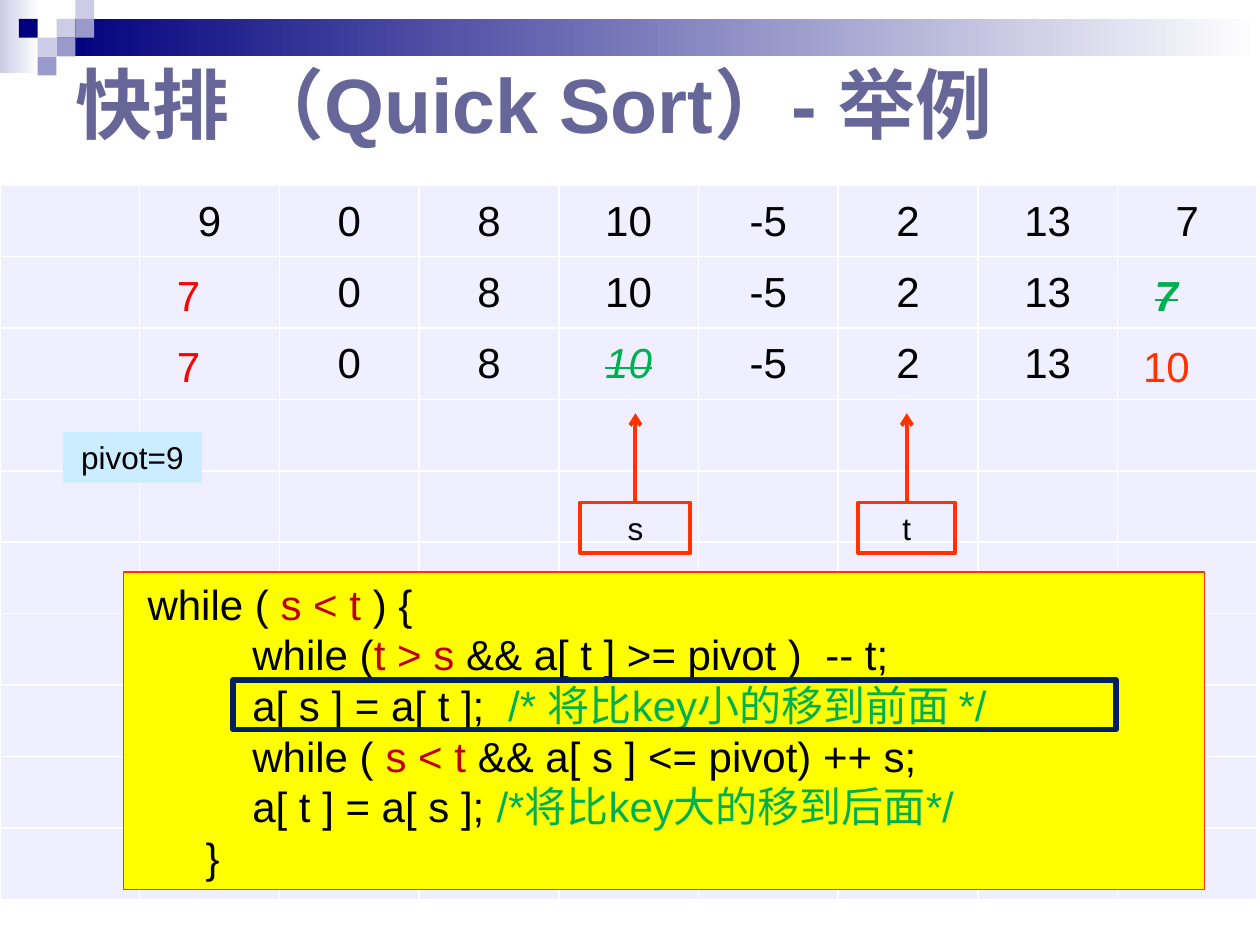
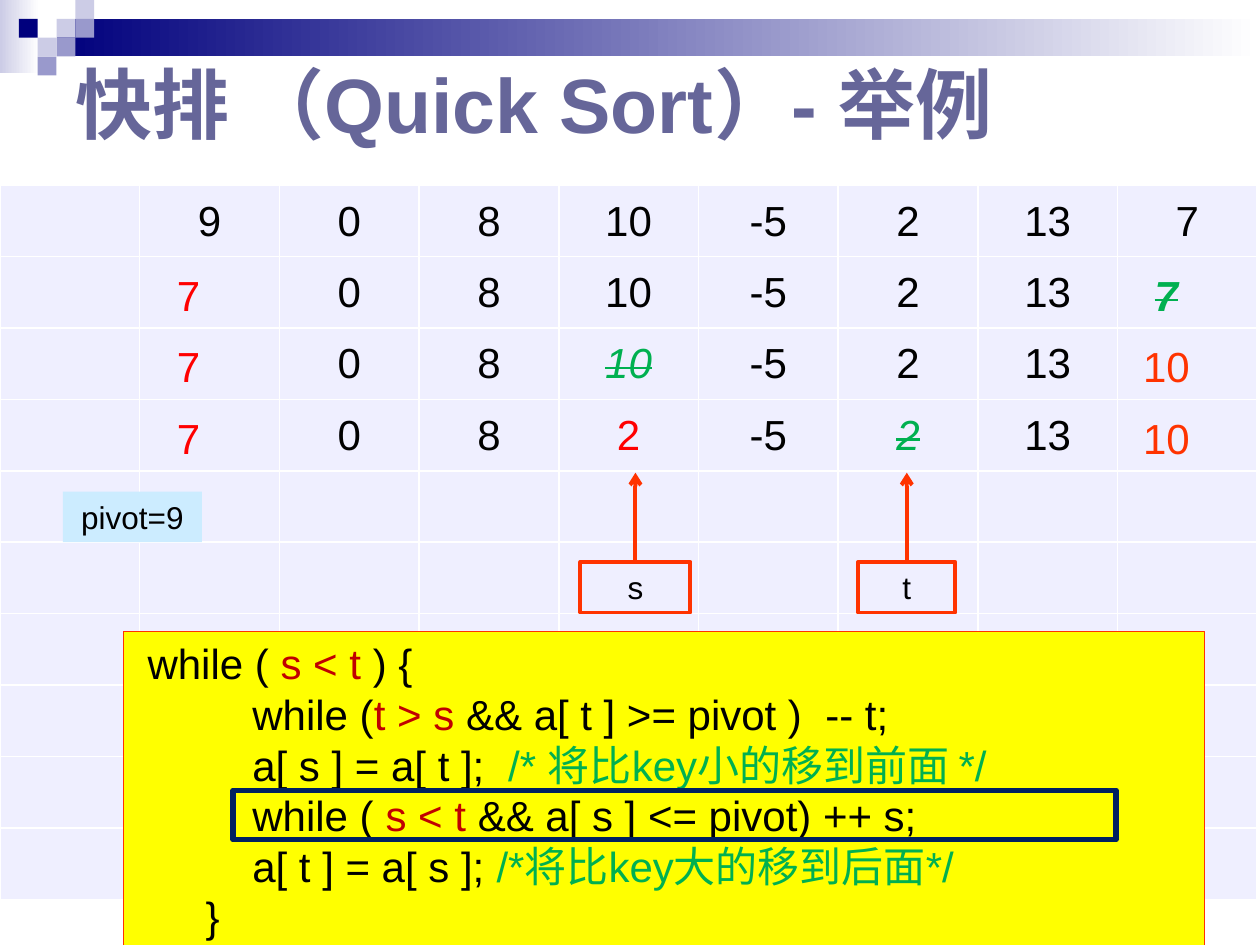
from lxml.etree import SubElement
from pptx import Presentation
from pptx.dml.color import RGBColor
from pptx.enum.shapes import MSO_CONNECTOR, MSO_SHAPE
from pptx.enum.text import MSO_ANCHOR, MSO_AUTO_SIZE, PP_ALIGN
from pptx.oxml.ns import qn
from pptx.util import Cm, Pt

BLACK = RGBColor(0x00, 0x00, 0x00)
WHITE = RGBColor(0xFF, 0xFF, 0xFF)
NAVY = RGBColor(0x00, 0x00, 0x7D)
LILAC = RGBColor(0xCC, 0xCC, 0xE6)
VIOLET = RGBColor(0x99, 0x99, 0xCC)
TITLE_COLOR = RGBColor(0x66, 0x66, 0x99)
CELL_FILL = RGBColor(0xEF, 0xEF, 0xFF)
RED = RGBColor(0xFF, 0x00, 0x00)
ORANGE = RGBColor(0xFF, 0x33, 0x00)
GREEN = RGBColor(0x00, 0xB0, 0x50)
CRIMSON = RGBColor(0xC0, 0x00, 0x00)
YELLOW = RGBColor(0xFF, 0xFF, 0x00)
PALE_BLUE = RGBColor(0xCC, 0xEC, 0xFF)
DARK_BLUE = RGBColor(0x00, 0x20, 0x60)

FONT = "Arial"
TITLE = "快排 （Quick Sort）- 举例"

# A text is a string or a list of runs; a run is a string or (string, format).
MOVED = {"color": GREEN, "italic": True, "strike": True}
SEVEN_IN = [("7　", {"color": RED})]
TEN_IN = [("10　", {"color": ORANGE})]
ARRAY_STEPS = [
    ["", "9", "0", "8", "10", "-5", "2", "13", "7"],
    ["", SEVEN_IN, "0", "8", "10", "-5", "2", "13",
     [("7", {**MOVED, "bold": True}), "　"]],
    ["", SEVEN_IN, "0", "8", [("10", MOVED)], "-5", "2", "13", TEN_IN],
    ["", SEVEN_IN, "0", "8", [("2", {"color": RED})], "-5",
     [("2", MOVED)], "13", TEN_IN],
]
TABLE_ROWS, TABLE_COLUMNS = 10, 9

CONDITION = {"color": CRIMSON}
COMMENT = {"color": GREEN}
CODE = [
    [" while (", (" s < t ", CONDITION), ") {"],
    ["          while (", ("t > s ", CONDITION), "&& a[ t ] >= pivot )  -- t;"],
    ["          a[ s ] = a[ t ];  ", ("/* 将比key小的移到前面 */", COMMENT)],
    ["          while (", (" s < t ", CONDITION), "&& a[ s ] <= pivot) ++ s;"],
    ["          a[ t ] = a[ s ]; ", ("/*将比key大的移到后面*/", COMMENT)],
    ["      }"],
]
CODE_PITCH = 1.02  # cm between code lines

# name, left, width in cm
POINTERS = [("s", 11.7, 2.22), ("t", 17.3, 1.96)]

# array steps shown, index of the framed code line, top of the pointers in cm
SLIDES = [
    {"steps": 3, "framed_line": 2, "top": 8.33},
    {"steps": 4, "framed_line": 3, "top": 9.53},
]

SQUARE = 0.38
# column, row, colour of each corner square
SQUARES = [(2, 1, LILAC), (3, 0, LILAC), (3, 1, VIOLET), (1, 2, LILAC),
           (0, 1, NAVY), (2, 2, VIOLET), (1, 3, VIOLET)]
# left, top, width, height, start colour
BANDS = [(0, 0, 0.79, 1.47, LILAC), (1.14, SQUARE, 24.26, 2 * SQUARE, NAVY)]


def write(frame, paragraphs, size=18, color=BLACK, bold=False,
          align=PP_ALIGN.LEFT, line_spacing=None):
    """Fill a text frame; run formats override the given ones."""
    for number, runs in enumerate(paragraphs):
        paragraph = frame.add_paragraph() if number else frame.paragraphs[0]
        paragraph.alignment = align
        if line_spacing:
            paragraph.line_spacing = line_spacing
        for part in [runs] if isinstance(runs, str) else runs:
            text, style = (part, {}) if isinstance(part, str) else part
            run = paragraph.add_run()
            run.text = text
            run.font.name = FONT
            run.font.size = Pt(size)
            run.font.bold = style.get("bold", bold)
            run.font.italic = style.get("italic", False)
            run.font.color.rgb = style.get("color", color)
            if style.get("strike"):
                run.font._element.set("strike", "sngStrike")


def add_box(slide, left, top, width, height, fill=None, line=None, weight=1):
    box = slide.shapes.add_shape(MSO_SHAPE.RECTANGLE, Cm(left), Cm(top),
                                 Cm(width), Cm(height))
    box.shadow.inherit = False
    if fill is None:
        box.fill.background()
    else:
        box.fill.solid()
        box.fill.fore_color.rgb = fill
    if line is None:
        box.line.fill.background()
    else:
        box.line.color.rgb = line
        box.line.width = Pt(weight)
    box.text_frame.word_wrap = True
    box.text_frame.vertical_anchor = MSO_ANCHOR.TOP
    return box


def add_arrow(slide, x, start_y, end_y):
    arrow = slide.shapes.add_connector(MSO_CONNECTOR.STRAIGHT, Cm(x),
                                       Cm(start_y), Cm(x), Cm(end_y))
    arrow.line.color.rgb = ORANGE
    arrow.line.width = Pt(2.25)
    SubElement(arrow.line._get_or_add_ln(), qn("a:tailEnd"), type="arrow")
    SubElement(arrow._element.spPr, qn("a:effectLst"))


def decorate_layout(layout, slide):
    """Draw bands and squares on a slide, then move them to its layout."""
    ornaments = []
    for left, top, width, height, start in BANDS:
        band = add_box(slide, left, top, width, height)
        band.fill.gradient()
        band.fill.gradient_angle = 0
        for stop, position, color in zip(band.fill.gradient_stops, (0, 1),
                                         (start, WHITE)):
            stop.position = position
            stop.color.rgb = color
        ornaments.append(band)
    for column, row, color in SQUARES:
        ornaments.append(add_box(slide, SQUARE * (column + 1), SQUARE * row,
                                 SQUARE, SQUARE, fill=color))
    for depth, ornament in enumerate(ornaments, start=2):
        layout.shapes._spTree.insert(depth, ornament._element)


def add_title(slide):
    title = slide.shapes.title
    title.left, title.top = Cm(1.27), Cm(0.74)
    title.width, title.height = Cm(22.86), Cm(2.67)
    frame = title.text_frame
    frame.auto_size = MSO_AUTO_SIZE.NONE
    frame.vertical_anchor = MSO_ANCHOR.MIDDLE
    write(frame, [TITLE], size=44, color=TITLE_COLOR, bold=True)


def format_cell(cell):
    cell.margin_left = cell.margin_right = cell.margin_top = Cm(0.03)
    cell.margin_bottom = 0
    cell.vertical_anchor = MSO_ANCHOR.MIDDLE
    properties = cell._tc.get_or_add_tcPr()
    for side in ("lnL", "lnR", "lnT", "lnB"):
        border = SubElement(properties, qn(f"a:{side}"), w=str(Pt(1)))
        paint = SubElement(border, qn("a:solidFill"))
        SubElement(paint, qn("a:srgbClr"), val=str(WHITE))
    cell.fill.solid()
    cell.fill.fore_color.rgb = CELL_FILL


def add_array_table(slide, steps):
    table = slide.shapes.add_table(TABLE_ROWS, TABLE_COLUMNS, 0, Cm(3.73),
                                   Cm(25.35), Cm(14.4)).table
    table.first_row = table.horz_banding = False
    for cell in table.iter_cells():
        format_cell(cell)
    for row, values in enumerate(ARRAY_STEPS[:steps]):
        for column, value in enumerate(values):
            if value:
                write(table.cell(row, column).text_frame, [value], size=24,
                      align=PP_ALIGN.CENTER)


def add_pointers(slide, top):
    box_top = top + 1.8
    for name, left, width in POINTERS:
        box = add_box(slide, left, box_top, width, CODE_PITCH, line=ORANGE,
                      weight=2.25)
        write(box.text_frame, [name], align=PP_ALIGN.CENTER)
    for _, left, width in POINTERS:
        add_arrow(slide, left + width / 2, box_top, top)
    pivot = add_box(slide, 1.27, top + 0.38, 2.8, CODE_PITCH, fill=PALE_BLUE)
    write(pivot.text_frame, ["pivot=9"], align=PP_ALIGN.CENTER)


def add_code(slide, top, framed_line):
    code = add_box(slide, 2.49, top, 21.8, 6.4, fill=YELLOW, line=ORANGE,
                   weight=0.75)
    write(code.text_frame, CODE, size=24, line_spacing=Pt(28.9))
    add_box(slide, 4.7, top + 0.14 + framed_line * CODE_PITCH, 17.8, 1,
            line=DARK_BLUE, weight=3)


def main():
    presentation = Presentation()
    presentation.slide_width, presentation.slide_height = Cm(25.4), Cm(19.05)
    title_only = presentation.slide_layouts[5]
    for number, content in enumerate(SLIDES):
        slide = presentation.slides.add_slide(title_only)
        if number == 0:
            decorate_layout(title_only, slide)
        add_title(slide)
        add_array_table(slide, content["steps"])
        add_pointers(slide, content["top"])
        add_code(slide, content["top"] + 3.2, content["framed_line"])
    presentation.save("out.pptx")


if __name__ == "__main__":
    main()
